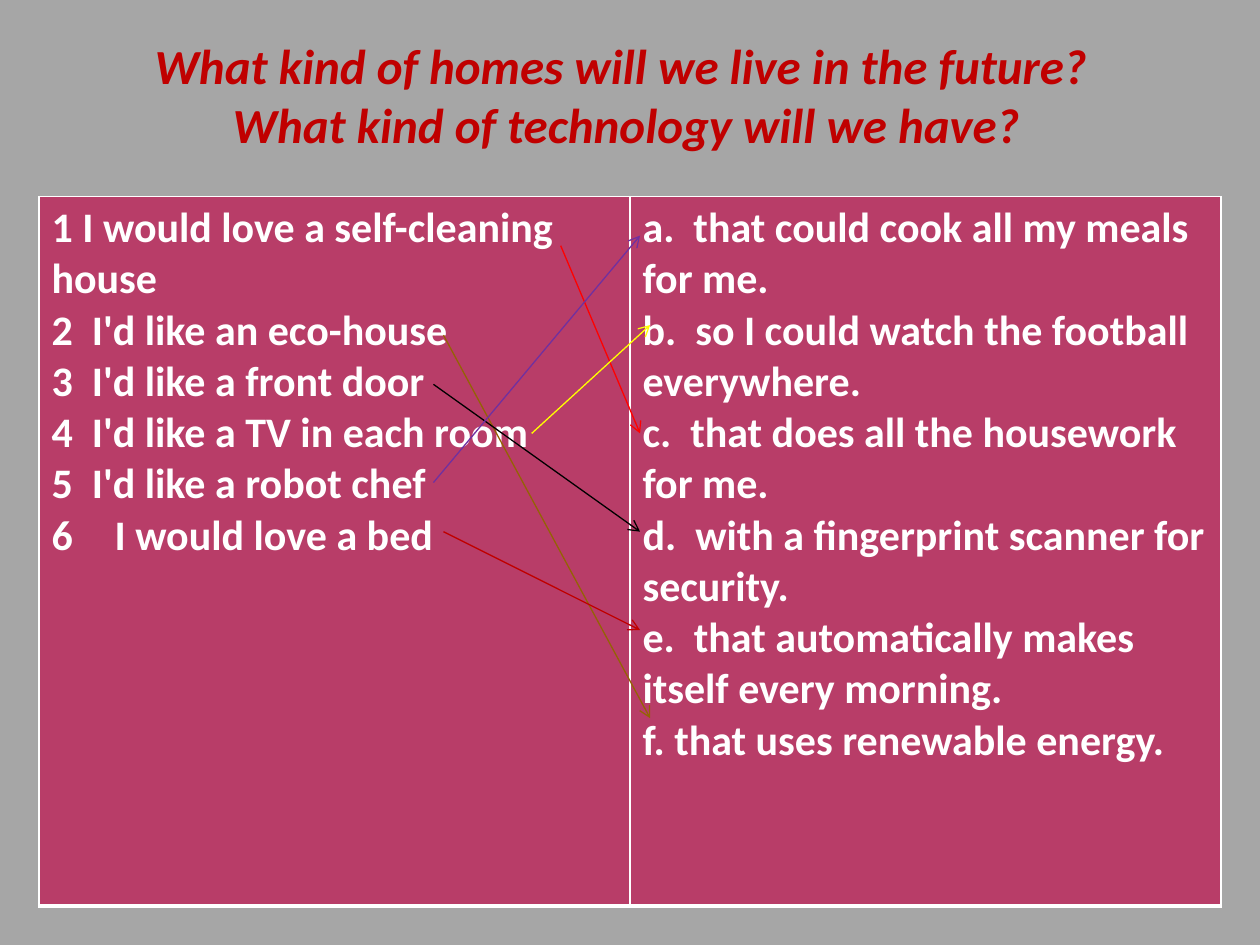
from pptx import Presentation
from pptx.dml.color import RGBColor
from pptx.enum import shapes, text
from pptx.oxml.ns import qn
from pptx.util import Inches, Pt
from lxml import etree

THEME = {
    "font": "Calibri", "title_size": 28, "body_size": 24,
    "background": "A6A6A6", "title": "C00000", "body": "FFFFFF",
    "cell": "B83D68", "border": "FFFFFF", "arrow_width": 0.75,
}
BORDERS = {"lnL": 1, "lnR": 1, "lnT": 1, "lnB": 3}

TITLE = ("What kind of homes will we live in the future?\n"
         " What kind of technology will we have?")
TITLE_BOX = (0.47, 0.23, 8.91, 1.04)
TABLE_BOX = (0.31, 1.56, 9.38, 5.63)

WISHES = [
    "1 I would love a self-cleaning house",
    "2  I'd like an eco-house",
    "3  I'd like a front door",
    "4  I'd like a TV in each room",
    "5  I'd like a robot chef",
    "I would love a bed",
]
AUTO_NUMBER = 6  # the last wish carries an automatic number
ENDINGS = [
    "a.  that could cook all my meals for me.",
    "b.  so I could watch the football everywhere.",
    "c.  that does all the housework for me.",
    "d.  with a fingerprint scanner for security.",
    "e.  that automatically makes itself every morning.",
    "f. that uses renewable energy.",
]
# wish end, ending start, colour
MATCHES = [
    ((4.45, 1.95), (5.08, 3.44), "FF0000"),
    ((3.52, 2.66), (5.16, 5.70), "946204"),
    ((3.44, 3.05), (5.08, 4.22), "000000"),
    ((4.22, 3.44), (5.16, 2.58), "FFFF00"),
    ((3.44, 3.83), (5.08, 1.87), "7030A0"),
    ((3.52, 4.22), (5.08, 5.00), "C00000"),
]


def rgb(name):
    return RGBColor.from_string(THEME[name])


def inches(values):
    return [Inches(v) for v in values]


def style_runs(p, role, italic=False):
    for r in p.runs:
        r.font.name = THEME["font"]
        r.font.size = Pt(THEME["title_size" if role == "title" else "body_size"])
        r.font.bold = True
        r.font.italic = italic
        r.font.color.rgb = rgb(role)


def add_title(slide):
    sp = slide.shapes.title
    sp.left, sp.top, sp.width, sp.height = inches(TITLE_BOX)
    tf = sp.text_frame
    tf.word_wrap = True
    tf.auto_size = text.MSO_AUTO_SIZE.NONE
    tf.vertical_anchor = text.MSO_ANCHOR.TOP
    p = tf.paragraphs[0]
    p.text = TITLE
    p.alignment = text.PP_ALIGN.CENTER
    style_runs(p, "title", italic=True)


def set_borders(cell):
    tc_pr = cell._tc.get_or_add_tcPr()
    for tag, width in BORDERS.items():
        ln = etree.SubElement(tc_pr, qn(f"a:{tag}"), w=str(Pt(width)))
        fill = etree.SubElement(ln, qn("a:solidFill"))
        etree.SubElement(fill, qn("a:srgbClr"), val=THEME["border"])


def number_paragraph(p, start):
    p_pr = p._p.get_or_add_pPr()
    p_pr.set("marL", str(Inches(0.5)))
    p_pr.set("indent", str(-Inches(0.5)))
    etree.SubElement(p_pr, qn("a:buFont"), typeface=THEME["font"])
    etree.SubElement(p_pr, qn("a:buAutoNum"), type="arabicPlain", startAt=str(start))


def add_table(slide):
    columns = [WISHES, ENDINGS]
    table = slide.shapes.add_table(1, len(columns), *inches(TABLE_BOX)).table
    for i, lines in enumerate(columns):
        cell = table.cell(0, i)
        set_borders(cell)
        cell.fill.solid()
        cell.fill.fore_color.rgb = rgb("cell")
        cell.text_frame.text = "\n".join(lines)
        for p in cell.text_frame.paragraphs:
            style_runs(p, "body")
    number_paragraph(table.cell(0, 0).text_frame.paragraphs[-1], AUTO_NUMBER)


def add_match(slide, start, end, color):
    line = slide.shapes.add_connector(
        shapes.MSO_CONNECTOR.STRAIGHT, *inches(start + end))
    line.line.width = Pt(THEME["arrow_width"])
    line.line.color.rgb = RGBColor.from_string(color)
    sp_pr = line._element.spPr
    etree.SubElement(sp_pr.find(qn("a:ln")), qn("a:tailEnd"), type="arrow")
    etree.SubElement(sp_pr, qn("a:effectLst"))


def main():
    prs = Presentation()
    prs.slide_width, prs.slide_height = inches((10, 7.5))
    slide = prs.slides.add_slide(prs.slide_layouts.get_by_name("Title Only"))
    slide.background.fill.solid()
    slide.background.fill.fore_color.rgb = rgb("background")
    add_title(slide)
    add_table(slide)
    for match in MATCHES:
        add_match(slide, *match)
    prs.save("out.pptx")


if __name__ == "__main__":
    main()
